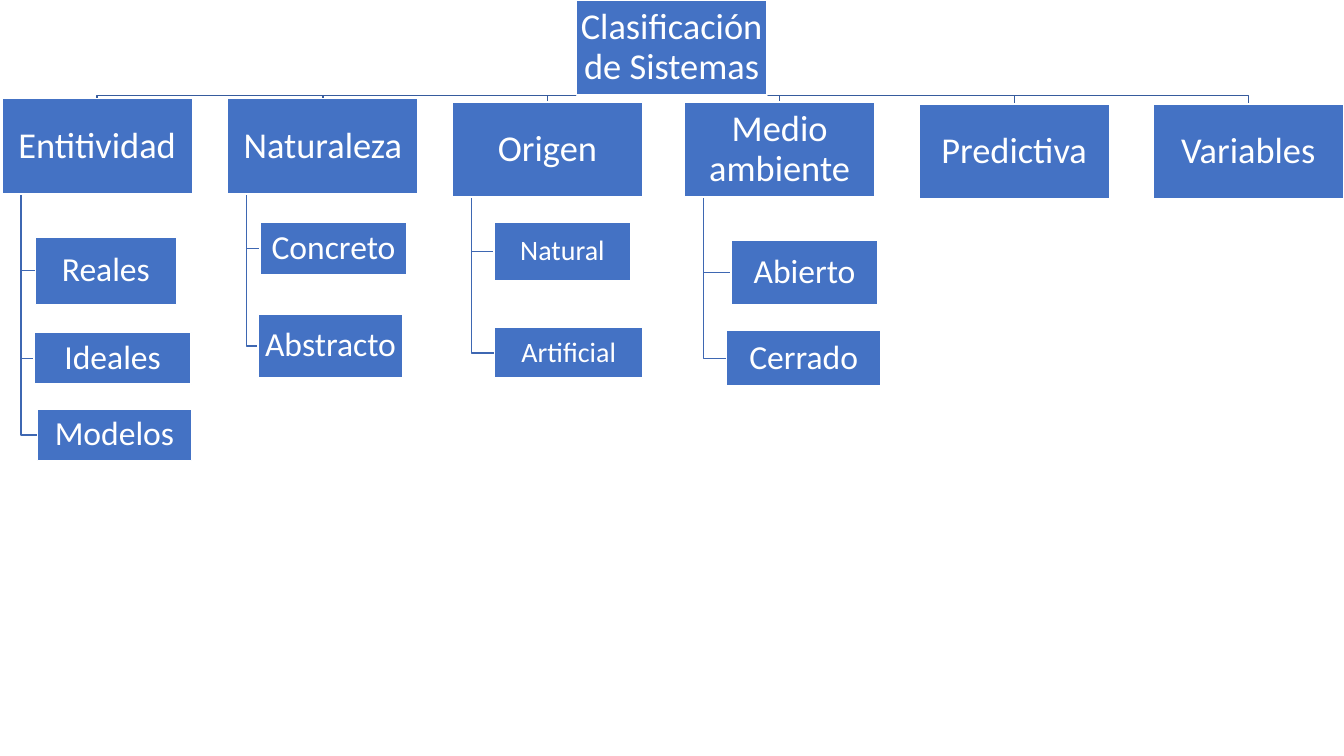
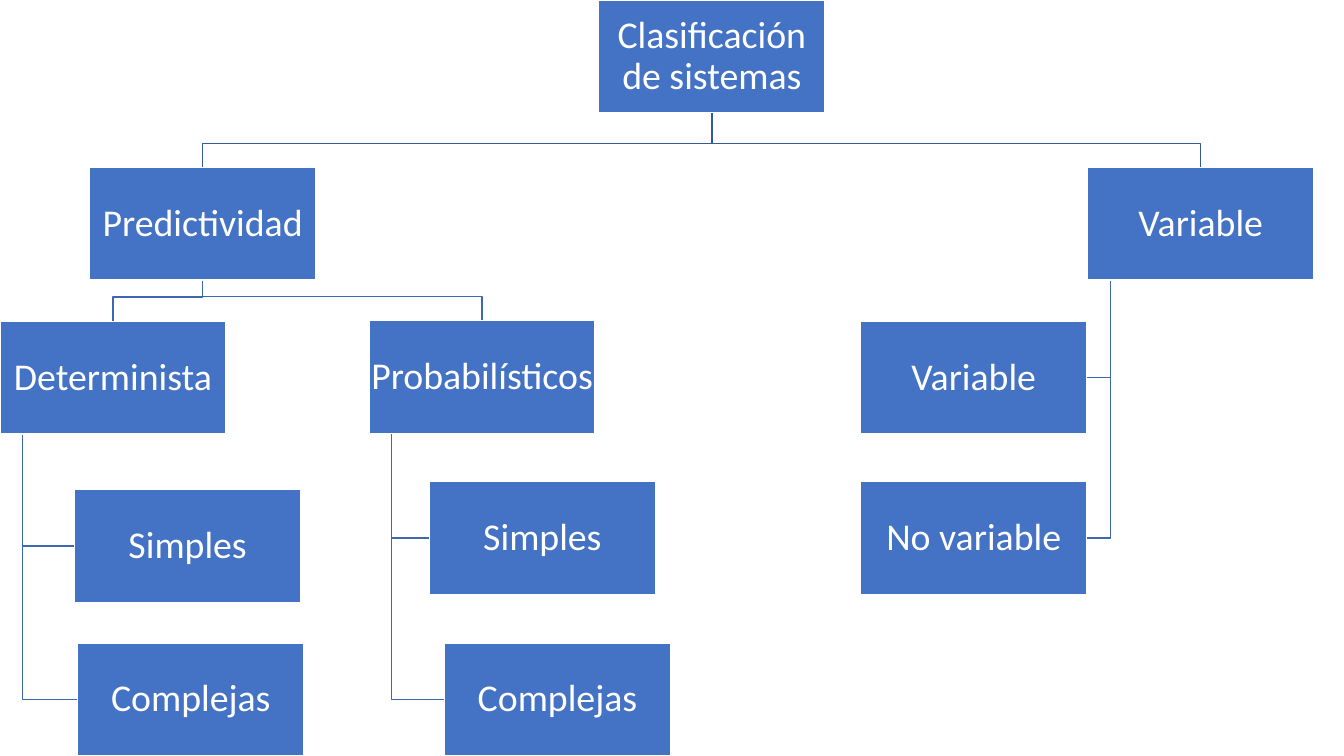
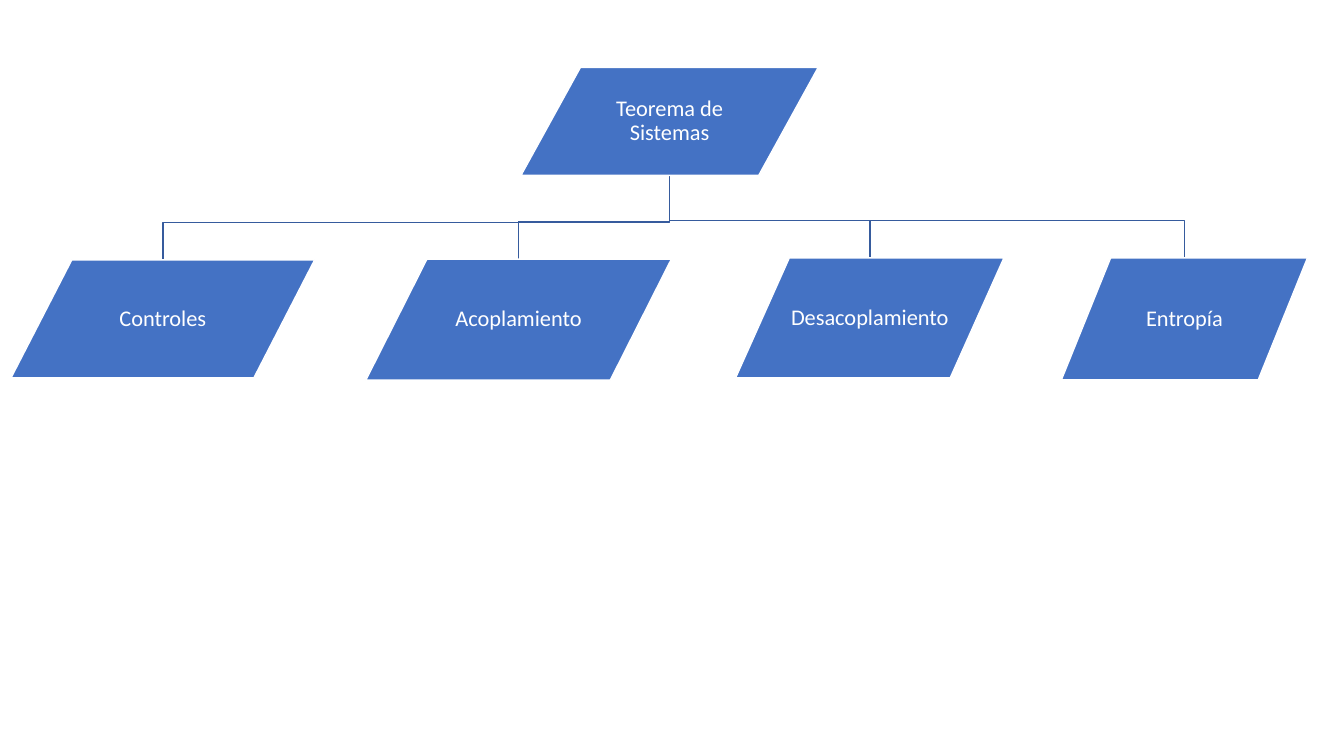
from collections import namedtuple

from pptx import Presentation
from pptx.dml.color import RGBColor
from pptx.enum.shapes import MSO_SHAPE
from pptx.enum.text import MSO_ANCHOR, PP_ALIGN
from pptx.util import Cm, Pt

RECT = MSO_SHAPE.RECTANGLE
SLANT = MSO_SHAPE.FLOWCHART_DATA
MIDDLE = MSO_ANCHOR.MIDDLE
CENTER = PP_ALIGN.CENTER

# Lengths in centimetres, text size in points
Box = namedtuple("Box", "text x y w h size")


def color(code):
    return RGBColor.from_string(code)


def apply(target, values):
    for name, value in values.items():
        setattr(target, name, value)


class Chart:
    """Style of the tree charts and the slide being drawn."""

    FILL, EDGE, INK = "4472C4", "FFFFFF", "FFFFFF"
    DARK, LIGHT = "365B9D", "3E67B2"
    STEM = 0.1  # stem position as a share of the parent's width
    FRAME = {"word_wrap": True, "vertical_anchor": MIDDLE,
             **{"margin_" + side: Cm(0.04)
                for side in ("left", "top", "right", "bottom")}}
    PARA = {"alignment": CENTER, "line_spacing": 0.9}

    def __init__(self):
        self.deck = Presentation()
        apply(self.deck, {"slide_width": Cm(33.87), "slide_height": Cm(19.05)})
        self.shapes = None

    def page(self):
        blank = self.deck.slide_layouts[6]
        self.shapes = self.deck.slides.add_slide(blank).shapes

    def stroke(self, shape, code):
        shape.shadow.inherit = False
        shape.line.color.rgb = color(code)
        shape.line.width = Pt(1)

    def box(self, box, kind=RECT):
        shape = self.shapes.add_shape(
            kind, Cm(box.x), Cm(box.y), Cm(box.w), Cm(box.h))
        shape.fill.solid()
        shape.fill.fore_color.rgb = color(self.FILL)
        self.stroke(shape, self.EDGE)
        frame = shape.text_frame
        apply(frame, self.FRAME)
        para = frame.paragraphs[0]
        apply(para, self.PARA)
        run = para.add_run()
        run.text = box.text
        apply(run.font, {"name": "Calibri", "size": Pt(box.size)})
        run.font.color.rgb = color(self.INK)

    def route(self, points, code):
        first, *rest = [(Cm(x), Cm(y)) for x, y in points]
        pen = self.shapes.build_freeform(*first)
        pen.add_line_segments(rest, close=False)
        shape = pen.convert_to_shape()
        shape.fill.background()
        self.stroke(shape, code)

    def fork(self, top, kids, gap, code=DARK):
        """Join a parent to kids below it, bending a gap above each kid."""
        base, mid = top.y + top.h, top.x + top.w / 2
        for kid in kids:
            end = kid.x + kid.w / 2
            bend = max(base, kid.y - gap)
            self.route([(mid, base), (mid, bend), (end, bend), (end, kid.y)],
                       code)

    def hang(self, top, kids):
        """Hang kids from a stem near the parent's left edge."""
        stem = top.x + top.w * self.STEM
        for kid in kids:
            level = kid.y + kid.h / 2
            side = kid.x if kid.x > stem else kid.x + kid.w
            self.route([(stem, top.y + top.h), (stem, level), (side, level)],
                       self.LIGHT)

    def boxes(self, group, kind=RECT):
        for box in group:
            self.box(box, kind)


def classes(chart):
    """Six classes of systems and their kinds."""
    def head(text, x, y):
        return Box(text, x, y, 4.8, 2.4, 26)

    root = head("Clasificación de Sistemas", 14.53, 0)
    tree = [
        (head("Entitividad", 0.05, 2.49),
         [Box("Reales", 0.89, 5.97, 3.56, 1.7, 24),
          Box("Ideales", 0.86, 8.38, 3.96, 1.3, 24),
          Box("Modelos", 0.94, 10.31, 3.89, 1.3, 24)]),
        (head("Naturaleza", 5.74, 2.49),
         [Box("Concreto", 6.55, 5.61, 3.71, 1.32, 24),
          Box("Abstracto", 6.5, 7.92, 3.66, 1.6, 24)]),
        (head("Origen", 11.4, 2.57),
         [Box("Natural", 12.45, 5.61, 3.45, 1.47, 20),
          Box("Artificial", 12.47, 8.26, 3.73, 1.27, 20)]),
        (head("Medio ambiente", 17.25, 2.57),
         [Box("Abierto", 18.42, 6.05, 3.71, 1.63, 24),
          Box("Cerrado", 18.31, 8.33, 3.89, 1.4, 24)]),
        (head("Predictiva", 23.16, 2.62), []),
        (head("Variables", 29.06, 2.62), []),
    ]
    chart.page()
    chart.fork(root, [top for top, _ in tree], 1)
    for top, kids in tree:
        chart.hang(top, kids)
    chart.box(root)
    for top, kids in tree:
        chart.boxes([top, *kids])


def detail(chart):
    """Last two classes in detail."""
    def node(text, x, y):
        return Box(text, x, y, 5.7, 2.84, 27)

    root = node("Clasificación de sistemas", 15.09, 0)
    left = node("Predictividad", 2.26, 4.22)
    right = node("Variable", 27.41, 4.22)
    tree = [
        (node("Determinista", 0, 8.1),
         [node("Simples", 1.88, 12.34), node("Complejas", 1.96, 16.21)]),
        (node("Probabilísticos", 9.3, 8.08),
         [node("Simples", 10.82, 12.14), node("Complejas", 11.2, 16.21)]),
        (right,
         [node("Variable", 21.69, 8.1), node("No variable", 21.69, 12.14)]),
    ]
    chart.page()
    chart.fork(root, [left, right], 0.61)
    chart.fork(left, [top for top, _ in tree[:2]], 0.61, chart.LIGHT)
    for top, kids in tree:
        chart.hang(top, kids)
    chart.boxes([root, left])
    for top, kids in tree:
        chart.boxes([top, *kids])


def theorem(chart):
    """Theorem of systems and its four parts."""
    root = Box("Teorema de Sistemas", 13.13, 1.7, 7.49, 2.72, 16)
    kids = [
        Box("Controles", 0.28, 6.55, 7.65, 2.97, 16),
        Box("Acoplamiento", 9.22, 6.53, 7.7, 3.05, 16),
        Box("Desacoplamiento", 18.54, 6.5, 6.76, 3.02, 16),
        Box("Entropía", 26.75, 6.5, 6.2, 3.07, 16),
    ]
    chart.page()
    chart.fork(root, kids, 0.94)
    chart.boxes([root, *kids], SLANT)


def main():
    chart = Chart()
    for draw in (classes, detail, theorem):
        draw(chart)
    chart.deck.save("out.pptx")


if __name__ == "__main__":
    main()
